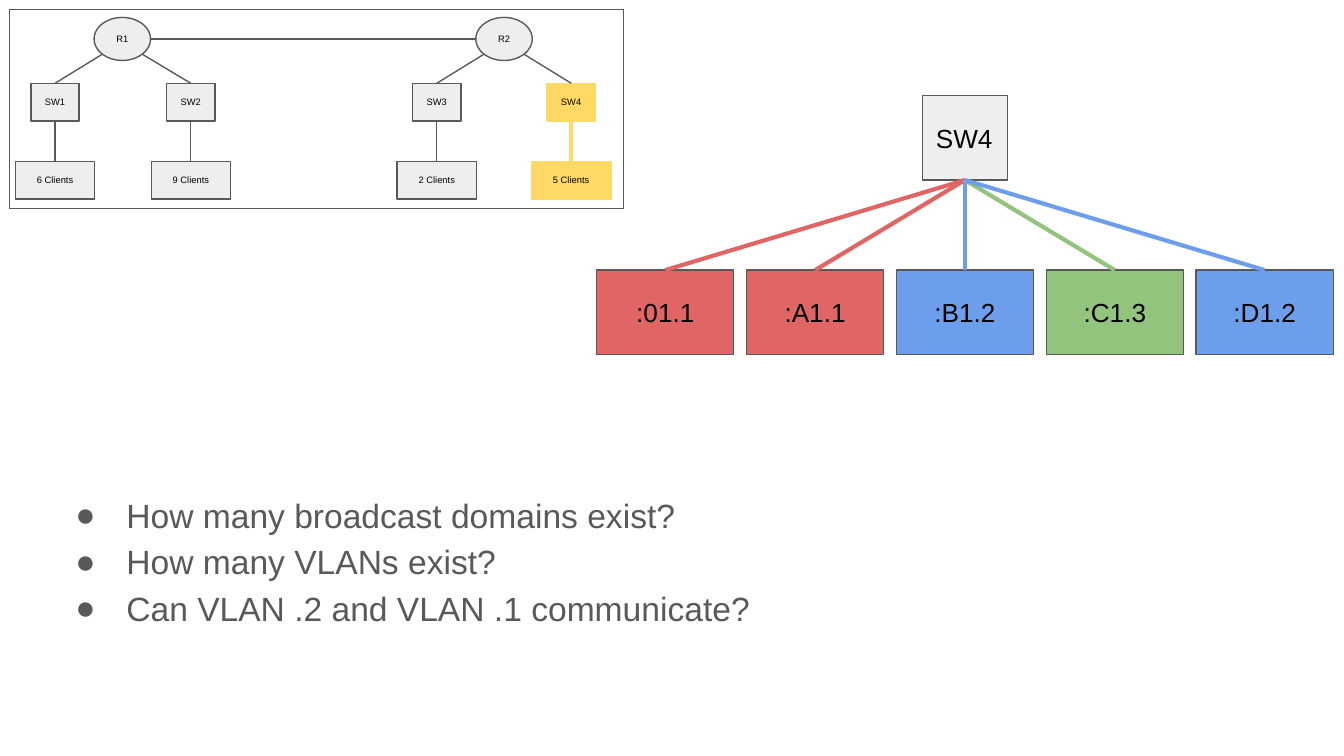
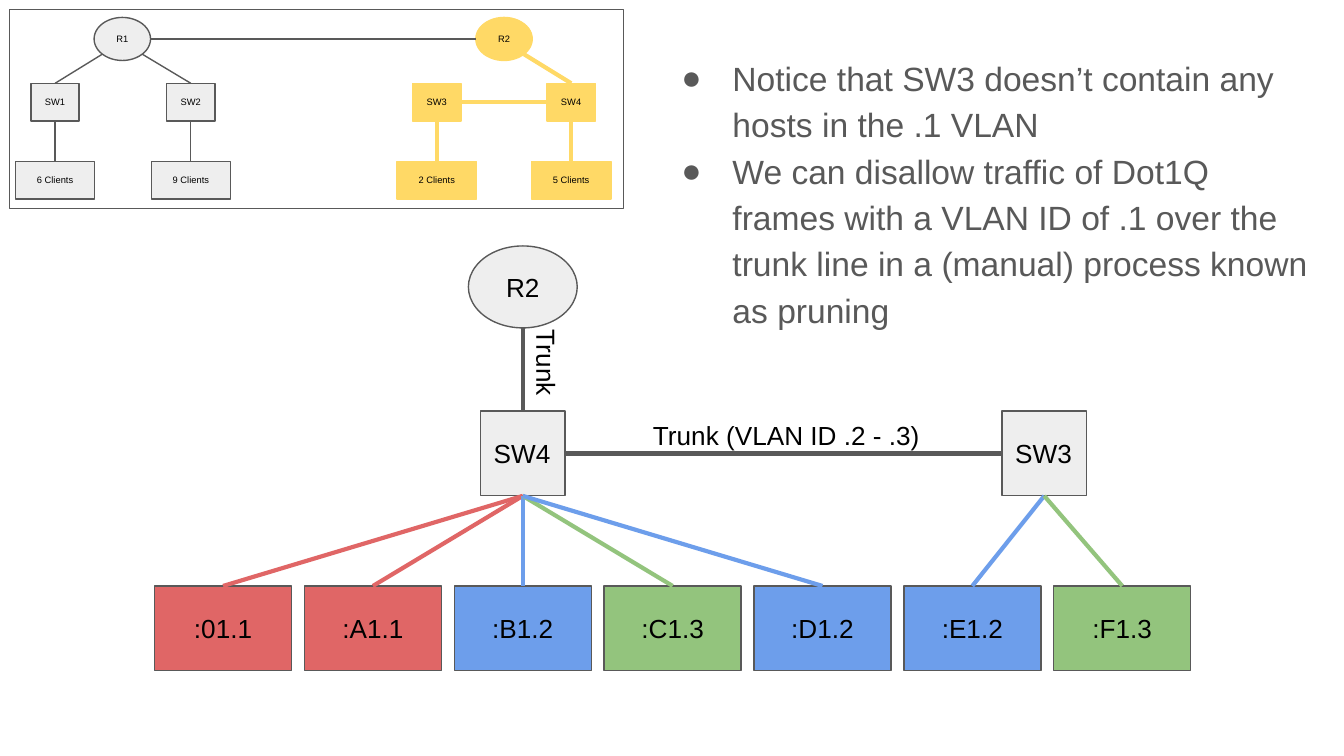
from lxml import etree
from pptx import Presentation
from pptx import util as u
from pptx.dml.color import RGBColor
from pptx.enum import shapes, text
from pptx.oxml.ns import qn

FONT = "Arial"
BLACK, DARK, LIGHT, YELLOW = "000000", "595959", "EEEEEE", "FFD966"
RED, BLUE, GREEN = "E06666", "6D9EEB", "93C47D"
VLAN_COLORS = {"1": RED, "2": BLUE, "3": GREEN}
THIN, THICK = 0.75, 2.25
RECTANGLE, ELLIPSE = shapes.MSO_SHAPE.RECTANGLE, shapes.MSO_SHAPE.OVAL
LEFT, CENTER = text.PP_ALIGN.LEFT, text.PP_ALIGN.CENTER

ROUTER, SWITCH, CLIENTS = (0.42, 0.32), (0.36, 0.28), (0.59, 0.28)
LARGE_ROUTER, LARGE_SWITCH, HOST = (0.81, 0.61), (0.63, 0.63), (1.02, 0.63)

# Label: shape, size, center x, top
OVERVIEW_NODES = {
    "R1": (ELLIPSE, ROUTER, 0.91, 0.13),
    "R2": (ELLIPSE, ROUTER, 3.75, 0.13),
}
COLUMNS = [("SW1", "6 Clients", 0.41), ("SW2", "9 Clients", 1.42),
           ("SW3", "2 Clients", 3.25), ("SW4", "5 Clients", 4.25)]
for switch_name, clients_name, column_x in COLUMNS:
    OVERVIEW_NODES[switch_name] = (RECTANGLE, SWITCH, column_x, 0.62)
    OVERVIEW_NODES[clients_name] = (RECTANGLE, CLIENTS, column_x, 1.2)

# Offsets from a shape's center, in half widths and half heights
DIAGONAL = 0.71
SIDES = {"top": (0, -1), "bottom": (0, 1), "left": (-1, 0), "right": (1, 0),
         "lower left": (-DIAGONAL, DIAGONAL), "lower right": (DIAGONAL, DIAGONAL)}


def color(value):
    return RGBColor.from_string(value)


def format_text(frame, lines, size, fill=BLACK, align=LEFT,
                anchor=text.MSO_ANCHOR.TOP, wrap=True):
    frame.word_wrap = wrap
    frame.auto_size = text.MSO_AUTO_SIZE.NONE
    frame.vertical_anchor = anchor
    frame.margin_left = frame.margin_right = u.Inches(0.1)
    frame.margin_top = frame.margin_bottom = u.Inches(0.1)
    frame.text = "\n".join(lines)
    for paragraph in frame.paragraphs:
        paragraph.alignment = align
        font = paragraph.runs[0].font
        font.name, font.size = FONT, u.Pt(size)
        font.color.rgb = color(fill)


def add_outline(slide, kind, left, top, size, fill=None, line=DARK):
    shape = slide.shapes.add_shape(kind, u.Inches(left), u.Inches(top),
                                   u.Inches(size[0]), u.Inches(size[1]))
    shape.shadow.inherit = False
    if fill:
        shape.fill.solid()
        shape.fill.fore_color.rgb = color(fill)
    else:
        shape.fill.background()
    shape.line.color.rgb = color(line)
    shape.line.width = u.Pt(THIN)
    return shape


def add_node(slide, label, kind, size, center, top, fill=LIGHT, line=DARK,
             font_size=14, align=CENTER):
    """Add a labelled network device, placed by its horizontal center."""
    shape = add_outline(slide, kind, center - size[0] / 2, top, size, fill, line)
    format_text(shape.text_frame, [label], font_size, align=align,
                anchor=text.MSO_ANCHOR.MIDDLE, wrap=False)
    return shape


def add_switch(slide, label, center, top):
    return add_node(slide, label, RECTANGLE, LARGE_SWITCH, center, top, align=LEFT)


def side_point(shape, side):
    across, down = SIDES[side]
    return (int(shape.left + shape.width * (1 + across) / 2),
            int(shape.top + shape.height * (1 + down) / 2))


def add_link(slide, start, start_side, end, end_side, line=DARK, width=THICK):
    connector = slide.shapes.add_connector(
        shapes.MSO_CONNECTOR.STRAIGHT,
        *side_point(start, start_side), *side_point(end, end_side))
    connector.line.color.rgb = color(line)
    connector.line.width = u.Pt(width)
    properties = connector._element.spPr
    etree.SubElement(properties, qn("a:effectLst"))


def add_overview(slide, active, sw3_uplink):
    """Draw the small map; devices in active, and links between them, are yellow."""
    add_outline(slide, RECTANGLE, 0.07, 0.07, (4.57, 1.48))
    nodes = {}
    for label, place in OVERVIEW_NODES.items():
        colors = (YELLOW, YELLOW) if label in active else (LIGHT, DARK)
        nodes[label] = add_node(slide, label, *place, *colors, font_size=5)
    links = [("R1", "right", "R2", "left"),
             ("R1", "lower left", "SW1", "top"),
             ("R1", "lower right", "SW2", "top"),
             ("R2", "lower right", "SW4", "top"),
             sw3_uplink]
    links += [(switch, "bottom", clients, "top") for switch, clients, _ in COLUMNS]
    for start, start_side, end, end_side in links:
        style = (YELLOW, THICK) if {start, end} <= active else (DARK, THIN)
        add_link(slide, nodes[start], start_side, nodes[end], end_side, *style)


def add_hosts(slide, hosts, first, last, top):
    """Spread hosts evenly between two centers and link each to its switch."""
    pitch = (last - first) / (len(hosts) - 1)
    for index, (label, switch) in enumerate(hosts):
        fill = VLAN_COLORS[label[-1]]
        host = add_node(slide, label, RECTANGLE, HOST, first + index * pitch, top, fill)
        add_link(slide, host, "top", switch, "bottom", fill)


def add_label(slide, label, left, top, width, rotation=0):
    box = slide.shapes.add_textbox(u.Inches(left), u.Inches(top),
                                   u.Inches(width), u.Inches(0.42))
    box.rotation = rotation
    format_text(box.text_frame, [label], 14)


def fill_body(slide, lines, left, top, width, height):
    body = slide.placeholders[1]
    body.left, body.top = u.Inches(left), u.Inches(top)
    body.width, body.height = u.Inches(width), u.Inches(height)
    format_text(body.text_frame, lines, 18, DARK, anchor=text.MSO_ANCHOR.MIDDLE)
    for paragraph in body.text_frame.paragraphs:
        paragraph.line_spacing = 1.15
        paragraph.space_before = paragraph.space_after = u.Pt(0)
        properties = paragraph._p.get_or_add_pPr()
        properties.set("marL", str(u.Inches(0.5)))
        properties.set("indent", str(u.Inches(-0.38)))
        bullet_color = etree.SubElement(properties, qn("a:buClr"))
        etree.SubElement(bullet_color, qn("a:srgbClr"), val=DARK)
        etree.SubElement(properties, qn("a:buFont"), typeface=FONT)
        etree.SubElement(properties, qn("a:buChar"), char="●")


def new_slide(presentation):
    """Add a slide that has a body placeholder and no title."""
    slide = presentation.slides.add_slide(presentation.slide_layouts[1])
    title = slide.shapes.title._element
    title.getparent().remove(title)
    return slide


def build_vlan_questions(presentation):
    slide = new_slide(presentation)
    add_overview(slide, {"SW4", "5 Clients"}, ("R2", "lower left", "SW3", "top"))
    sw4 = add_switch(slide, "SW4", 7.18, 0.71)
    hosts = [(label, sw4) for label in (":01.1", ":A1.1", ":B1.2", ":C1.3", ":D1.2")]
    add_hosts(slide, hosts, 4.95, 9.41, 2.01)
    fill_body(slide, ["How many broadcast domains exist?",
                      "How many VLANs exist?",
                      "Can VLAN .2 and VLAN .1 communicate?"], 0.34, 2.94, 9.32, 2.43)


def build_pruning(presentation):
    slide = new_slide(presentation)
    add_overview(slide, {"R2", "SW3", "SW4", "2 Clients", "5 Clients"},
                 ("SW3", "right", "SW4", "left"))
    r2 = add_node(slide, "R2", ELLIPSE, LARGE_ROUTER, 3.89, 1.83)
    sw4 = add_switch(slide, "SW4", 3.89, 3.06)
    sw3 = add_switch(slide, "SW3", 7.77, 3.06)
    hosts = [(label, sw4) for label in (":01.1", ":A1.1", ":B1.2", ":C1.3", ":D1.2")]
    hosts += [(label, sw3) for label in (":E1.2", ":F1.3")]
    add_hosts(slide, hosts, 1.66, 8.35, 4.36)
    add_link(slide, r2, "bottom", sw4, "top")
    add_link(slide, sw4, "right", sw3, "left")
    add_label(slide, "Trunk (VLAN ID .2 - .3)", 4.76, 3.02, 2.22)
    add_label(slide, "Trunk", 3.72, 2.5, 0.71, rotation=90)
    fill_body(slide, ["Notice that SW3 doesn’t contain any hosts in the .1 VLAN",
                      "We can disallow traffic of Dot1Q frames with a VLAN ID of .1 over "
                      "the trunk line in a (manual) process known as pruning"],
              4.85, 0.13, 5, 2.58)


def main():
    presentation = Presentation()
    presentation.slide_width = u.Inches(10)
    presentation.slide_height = u.Inches(10 * 9 / 16)
    build_vlan_questions(presentation)
    build_pruning(presentation)
    presentation.save("out.pptx")


if __name__ == "__main__":
    main()
